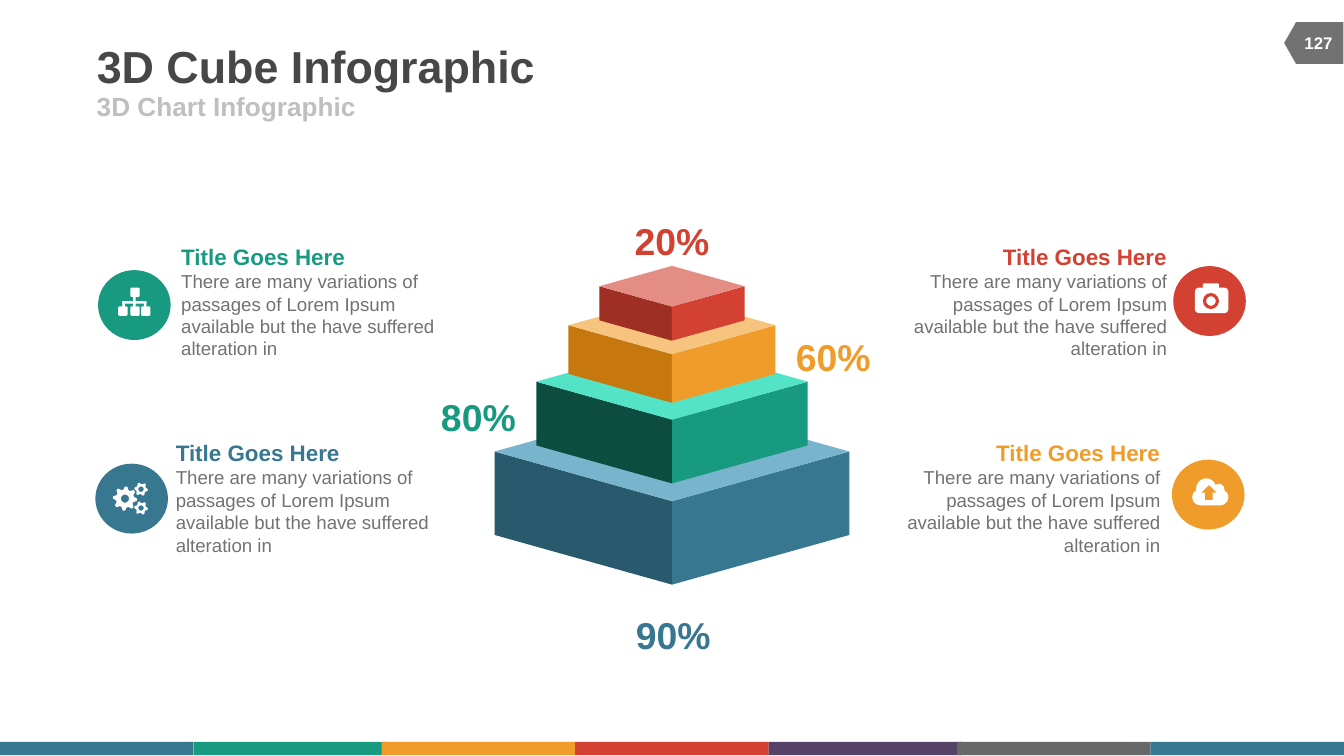
import math

import pptx
import pptx.dml.color
import pptx.enum.shapes
import pptx.enum.text
import pptx.util

Inches, Pt = pptx.util.Inches, pptx.util.Pt
RGBColor = pptx.dml.color.RGBColor
MSO = pptx.enum.shapes.MSO_SHAPE
ALIGN = pptx.enum.text.PP_ALIGN
ANCHOR = pptx.enum.text.MSO_ANCHOR

BLUE = RGBColor(0x37, 0x77, 0x90)
GREEN = RGBColor(0x18, 0x9A, 0x80)
ORANGE = RGBColor(0xF0, 0x9C, 0x2A)
RED = RGBColor(0xD2, 0x41, 0x32)
PURPLE = RGBColor(0x56, 0x42, 0x66)
DARK_GRAY = RGBColor(0x68, 0x68, 0x68)
GRAY = RGBColor(0x72, 0x72, 0x72)
TITLE_GRAY = RGBColor(0x47, 0x47, 0x47)
LIGHT_GRAY = RGBColor(0xBF, 0xBF, 0xBF)
WHITE = RGBColor(0xFF, 0xFF, 0xFF)
DARK_BLUE = RGBColor(0x29, 0x59, 0x6C)
PALE_BLUE = RGBColor(0x78, 0xB4, 0xCB)
DARK_GREEN = RGBColor(0x0C, 0x4D, 0x40)
PALE_GREEN = RGBColor(0x53, 0xE4, 0xC7)
DARK_ORANGE = RGBColor(0xC6, 0x78, 0x0E)
PALE_ORANGE = RGBColor(0xF6, 0xC4, 0x7F)
DARK_RED = RGBColor(0xA0, 0x2F, 0x23)
PALE_RED = RGBColor(0xE4, 0x8D, 0x84)

TITLE = "3D Cube Infographic"
SUBTITLE = "3D Chart Infographic"
PAGE = "127"
HEADING = "Title Goes Here"
BODY = ("There are many variations of passages of Lorem Ipsum "
        "available but the have suffered alteration in")

FOOTER = [(0, BLUE), (1.44, GREEN), (2.84, ORANGE), (4.28, RED),
          (5.72, PURPLE), (7.12, DARK_GRAY), (8.56, BLUE)]
BLOCKS = [(1.21, 3.22, 2.36, BLUE, ALIGN.LEFT), (6.64, 1.76, 2.14, RED, ALIGN.RIGHT),
          (1.25, 1.76, 2.36, GREEN, ALIGN.LEFT), (6.59, 3.22, 2.14, ORANGE, ALIGN.RIGHT)]
PERCENTS = [("90%", 4.73, 4.55, BLUE), ("20%", 4.72, 1.62, RED),
            ("80%", 3.28, 2.93, GREEN), ("60%", 5.92, 2.48, ORANGE)]

CENTER_X, RISE, HEIGHT = 5, 0.28, 0.47
TIERS = [(1.32, 3.36, DARK_BLUE, BLUE, PALE_BLUE),
         (1.01, 2.84, DARK_GREEN, GREEN, PALE_GREEN),
         (0.77, 2.42, DARK_ORANGE, ORANGE, PALE_ORANGE),
         (0.54, 2.13, DARK_RED, RED, PALE_RED)]

GEARS = [(0.22, 0.26, 0.09, 0.03, 8), (0.34, 0.19, 0.05, 0.02, 6), (0.34, 0.33, 0.05, 0.02, 6)]
TREE = [(MSO.ROUNDED_RECTANGLE, x, y, 0.07, 0.07, WHITE)
        for x, y in [(0.24, 0.13), (0.15, 0.27), (0.24, 0.27), (0.32, 0.27)]]
TREE += [(MSO.RECTANGLE, x, y, w, h, WHITE) for x, y, w, h in
         [(0.26, 0.19, 0.02, 0.09), (0.18, 0.23, 0.18, 0.02),
          (0.18, 0.23, 0.02, 0.05), (0.34, 0.23, 0.02, 0.05)]]
CLOUD = [(MSO.OVAL, x, y, d, d, WHITE) for x, y, d in
         [(0.18, 0.14, 0.15), (0.31, 0.18, 0.08), (0.15, 0.22, 0.12), (0.3, 0.22, 0.12)]]
CLOUD += [(MSO.RECTANGLE, 0.21, 0.22, 0.15, 0.12, WHITE),
          (MSO.UP_ARROW, 0.22, 0.19, 0.11, 0.11, ORANGE)]
CAMERA = [(MSO.ROUNDED_RECTANGLE, 0.16, 0.16, 0.25, 0.19, WHITE),
          (MSO.ROUND_2_SAME_RECTANGLE, 0.22, 0.13, 0.12, 0.04, WHITE),
          (MSO.DONUT, 0.22, 0.2, 0.12, 0.12, RED)]
DISCS = [(0.71, 3.45, BLUE, []), (0.73, 2.01, GREEN, TREE),
         (8.72, 3.42, ORANGE, CLOUD), (8.73, 1.98, RED, CAMERA)]


def paint(sp, color):
    sp.shadow.inherit = False
    sp.fill.solid()
    sp.fill.fore_color.rgb = color
    sp.line.fill.background()
    return sp


def add_shape(kind, x, y, w, h, color):
    return paint(slide.shapes.add_shape(kind, Inches(x), Inches(y), Inches(w), Inches(h)), color)


def add_outline(contours, color):
    contours = [[(Inches(x), Inches(y)) for x, y in c] for c in contours]
    builder = slide.shapes.build_freeform(*contours[0][0])
    for i, points in enumerate(contours):
        if i:
            builder.move_to(*points[0])
        builder.add_line_segments(points[1:], close=True)
    return paint(builder.convert_to_shape(), color)


def style(p, size, color, bold=True, align=ALIGN.LEFT):
    p.alignment = align
    p.font.name = "Arial"
    p.font.size = Pt(size)
    p.font.bold = bold
    p.font.color.rgb = color


def set_frame(sp, anchor, wrap, inset=True):
    tf = sp.text_frame
    tf.vertical_anchor = anchor
    tf.word_wrap = wrap
    if not inset:
        tf.margin_left = tf.margin_right = tf.margin_top = tf.margin_bottom = 0
    return tf


def add_text(text, x, y, w, h, size, color, align=ALIGN.LEFT,
             anchor=ANCHOR.MIDDLE, wrap=False, inset=False):
    sp = slide.shapes.add_textbox(Inches(x), Inches(y), Inches(w), Inches(h))
    tf = set_frame(sp, anchor, wrap, inset)
    tf.text = text
    style(tf.paragraphs[0], size, color, align=align)
    return tf


def circle(cx, cy, radii):
    step = 2 * math.pi / len(radii)
    return [(cx + r * math.cos(i * step), cy + r * math.sin(i * step))
            for i, r in enumerate(radii)]


prs = pptx.Presentation()
prs.slide_width = Inches(10)
prs.slide_height = prs.slide_width * 9 // 16
slide = prs.slides.add_slide(prs.slide_layouts[5])

for x, color in FOOTER:
    add_shape(MSO.RECTANGLE, x, 5.52, 1.44, 0.1, color)
tag = add_shape(MSO.FLOWCHART_OFFPAGE_CONNECTOR, 9.62, 0.1, 0.31, 0.44, GRAY)
tag.rotation = 90

title = slide.shapes.title
title.left, title.top, title.width, title.height = map(Inches, (0.72, 0.29, 6.17, 0.39))
tf = set_frame(title, ANCHOR.MIDDLE, False, inset=False)
tf.text = TITLE
style(tf.paragraphs[0], 24, TITLE_GRAY)
add_text(SUBTITLE, 0.72, 0.68, 4.5, 0.22, 14, LIGHT_GRAY)
add_text(PAGE, 9.6, 0.17, 0.42, 0.3, 9, WHITE, ALIGN.CENTER, wrap=True, inset=True)

for x, y, w, color, align in BLOCKS:
    tf = add_text(HEADING, x, y, w, 0.98, 12, color, align, ANCHOR.TOP, True, True)
    p = tf.add_paragraph()
    p.text = BODY
    style(p, 10, GRAY, False, align)

for text, x, y, color in PERCENTS:
    add_text(text, x, y, 0.56, 0.34, 20, color, ALIGN.CENTER, ANCHOR.BOTTOM)

for half, edge, left_color, right_color, top_color in TIERS:
    rise, height = RISE * half, HEIGHT * half
    front = edge + rise
    for side, color in [(-half, left_color), (half, right_color)]:
        x = CENTER_X + side
        add_outline([[(CENTER_X, front), (x, edge), (x, edge + height),
                      (CENTER_X, front + height)]], color)
    add_outline([[(CENTER_X, front), (CENTER_X - half, edge),
                  (CENTER_X, edge - rise), (CENTER_X + half, edge)]], top_color)

for x, y, color, parts in DISCS:
    add_shape(MSO.OVAL, x, y, 0.54, 0.52, color)
    for kind, dx, dy, w, h, part_color in parts:
        sp = add_shape(kind, x + dx, y + dy, w, h, part_color)
        if kind == MSO.DONUT:
            sp.adjustments[0] = 0.2

gear_x, gear_y = DISCS[0][:2]
for dx, dy, radius, hole, teeth in GEARS:
    cx, cy = gear_x + dx, gear_y + dy
    inner = 0.75 * radius
    add_outline([circle(cx, cy, [radius, radius, inner, inner] * teeth),
                 circle(cx, cy, [hole] * 24)], WHITE)

prs.save("out.pptx")
